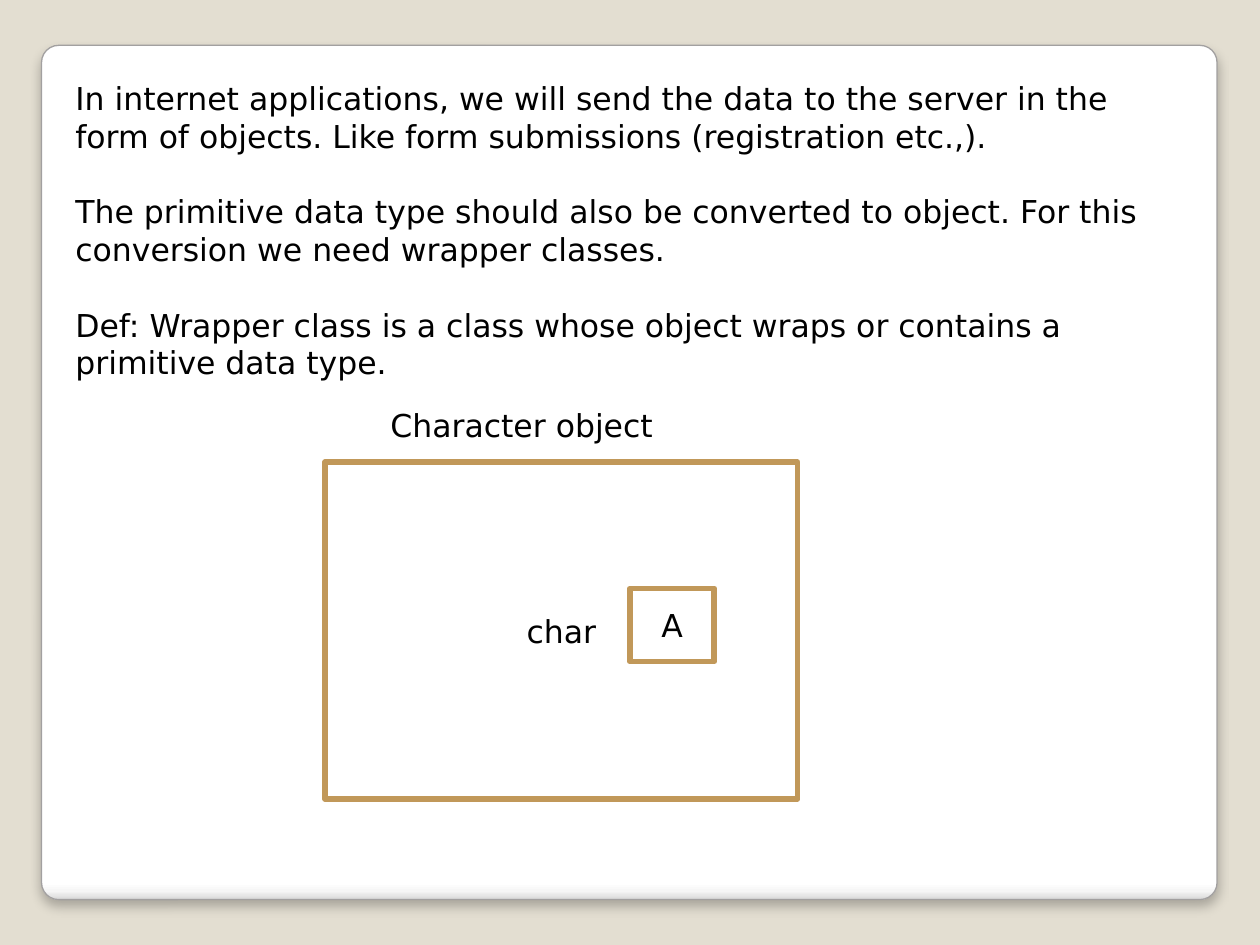
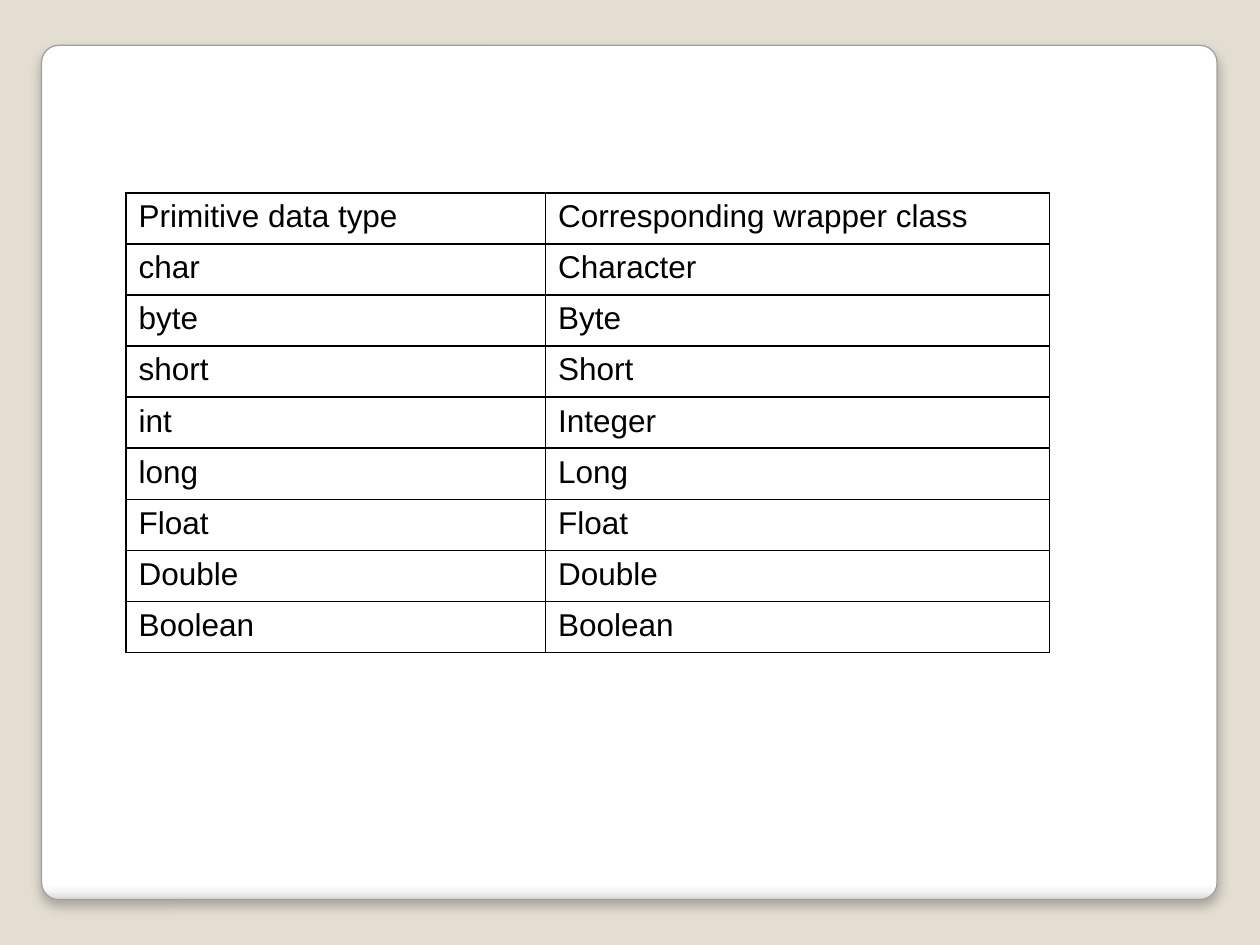
from pptx import Presentation
from pptx.dml.color import RGBColor
from pptx.enum.shapes import MSO_SHAPE
from pptx.enum.text import MSO_ANCHOR, PP_ALIGN
from pptx.oxml import parse_xml
from pptx.oxml.ns import nsdecls
from pptx.util import Inches, Pt

BACKDROP, WHITE, BLACK = "E3DED1", "FFFFFF", "000000"
CARD_EDGE, BOX_EDGE = "A2A0A0", "C19859"
CARD_STOPS = [(0, WHITE), (98, WHITE), (99, "F6F6F6"), (100, "D8D8D8")]
BODY_FONT, TABLE_FONT = "DejaVu Sans", "Arial"


def rgb(hex_color):
    return RGBColor.from_string(hex_color)


def write(frame, paragraphs, font_name=BODY_FONT, **paragraph_format):
    """Fill a text frame with 18 pt black paragraphs."""
    frame.word_wrap = True
    frame.text = "\n".join(paragraphs)
    for paragraph in frame.paragraphs:
        for name, value in paragraph_format.items():
            setattr(paragraph, name, value)
        for name, value in {"name": font_name, "size": Pt(18)}.items():
            setattr(paragraph.font, name, value)
        paragraph.font.color.rgb = rgb(BLACK)


prs = Presentation()
prs.slide_width, prs.slide_height = Inches(10), Inches(7.5)
backdrop = prs.slide_master.background.fill
backdrop.solid()
backdrop.fore_color.rgb = rgb(BACKDROP)

# Both slides: a white rounded card with a shaded lower edge and a soft shadow
slides = [prs.slides.add_slide(prs.slide_layouts[6]) for _ in range(2)]
for slide in slides:
    card = slide.shapes.add_shape(
        MSO_SHAPE.ROUNDED_RECTANGLE, Inches(0.33), Inches(0.36), Inches(9.33), Inches(6.78))
    card.adjustments[0] = 0.02
    card.line.color.rgb = rgb(CARD_EDGE)
    card.line.width = Pt(0.75)
    card.fill.gradient()
    card.fill.gradient_angle = 270
    stop_list = card._element.spPr.find(".//{*}gsLst")
    for stop in list(stop_list):
        stop_list.remove(stop)
    for percent, color in CARD_STOPS:
        stop_list.append(parse_xml(
            f'<a:gs {nsdecls("a")} pos="{percent * 1000}"><a:srgbClr val="{color}"/></a:gs>'))
    card.shadow.inherit = False
    card._element.spPr.find("{*}effectLst").append(parse_xml(
        f'<a:outerShdw {nsdecls("a")} blurRad="{Pt(6)}" dist="{Pt(4)}" dir="5400000"'
        f' algn="t" rotWithShape="0"><a:srgbClr val="{BLACK}"><a:alpha val="25000"/>'
        '</a:srgbClr></a:outerShdw>'))

wrapper_slide, types_slide = slides

# Slide 1: what a wrapper class is
explanation = wrapper_slide.shapes.add_textbox(
    Inches(0.5), Inches(0.58), Inches(8.92), Inches(2.52))
write(explanation.text_frame, [
    "In internet applications, we will send the data to the server in the form of objects. "
    "Like form submissions (registration etc.,).",
    "The primitive data type should also be converted to object. "
    "For this conversion we need wrapper classes.",
    "Def: Wrapper class is a class whose object wraps or contains a primitive data type.",
], space_after=Pt(21.5))

for label, left, top, width, height in [
    ("char", 2.58, 3.67, 3.75, 2.67),
    ("A", 5, 4.67, 0.67, 0.58),
]:
    box = wrapper_slide.shapes.add_shape(
        MSO_SHAPE.RECTANGLE, Inches(left), Inches(top), Inches(width), Inches(height))
    box.shadow.inherit = False
    box.fill.solid()
    box.fill.fore_color.rgb = rgb(WHITE)
    box.line.color.rgb = rgb(BOX_EDGE)
    box.line.width = Pt(3.35)
    box.text_frame.vertical_anchor = MSO_ANCHOR.MIDDLE
    write(box.text_frame, [label], alignment=PP_ALIGN.CENTER)

object_caption = wrapper_slide.shapes.add_textbox(
    Inches(3), Inches(3.17), Inches(3), Inches(0.4))
write(object_caption.text_frame, ["Character object"])

# Slide 2: primitive types and their wrappers
type_pairs = [
    ("Primitive data type", "Corresponding wrapper class"),
    ("char", "Character"),
    ("byte", "Byte"),
    ("short", "Short"),
    ("int", "Integer"),
    ("long", "Long"),
    ("Float", "Float"),
    ("Double", "Double"),
    ("Boolean", "Boolean"),
]
type_table = types_slide.shapes.add_table(
    len(type_pairs), 2, Inches(1), Inches(1.53), Inches(7.33), Inches(3.65)).table
type_table.first_row = type_table.horz_banding = False
for column, width in zip(type_table.columns, (3.33, 4)):
    column.width = Inches(width)
for row, pair in zip(type_table.rows, type_pairs):
    for cell, type_name in zip(row.cells, pair):
        write(cell.text_frame, [type_name], TABLE_FONT)
        cell_properties = cell._tc.get_or_add_tcPr()
        for side in "LRTB":
            cell_properties.append(parse_xml(
                f'<a:ln{side} {nsdecls("a")} w="{Pt(1)}"><a:solidFill>'
                f'<a:srgbClr val="{BLACK}"/></a:solidFill></a:ln{side}>'))
        cell.fill.background()

prs.save("out.pptx")
